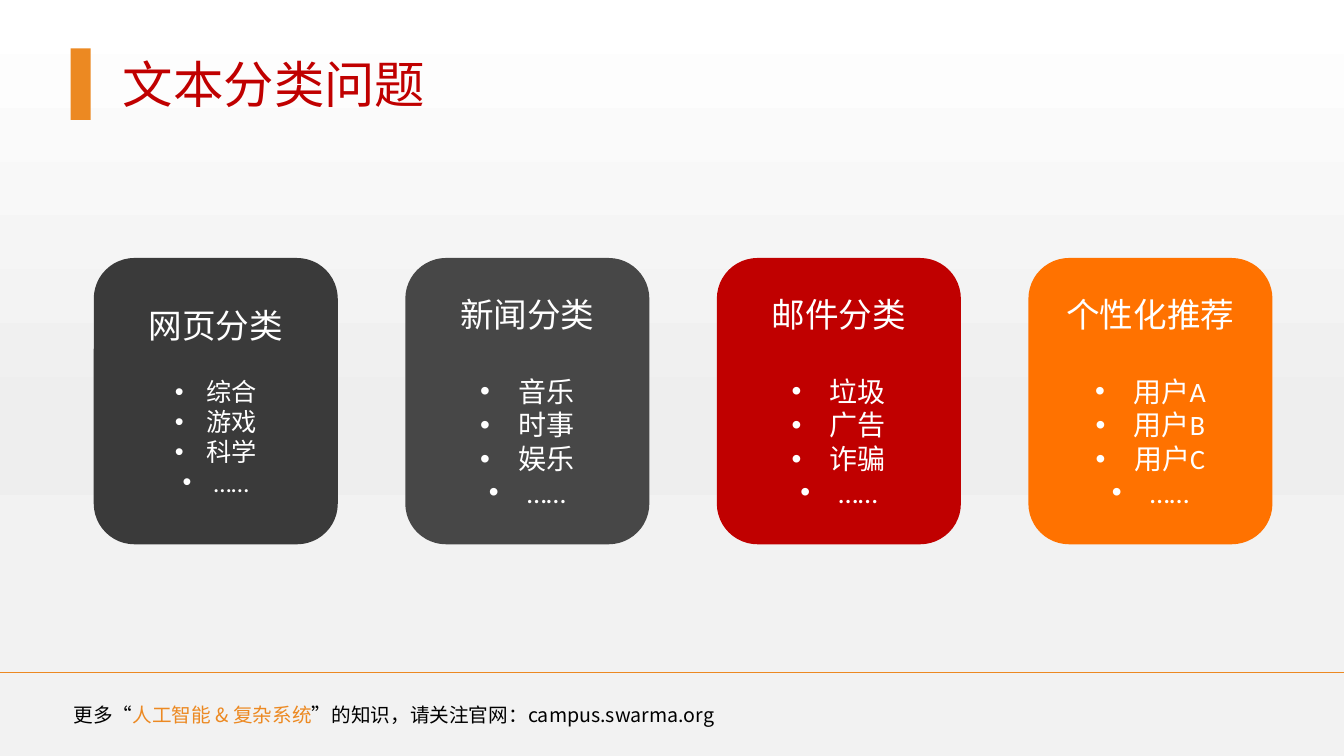
from lxml import etree
from pptx import Presentation, util as u
from pptx.dml.color import RGBColor
from pptx.enum import shapes, text
from pptx.oxml.ns import qn

WHITE = RGBColor(0xFF, 0xFF, 0xFF)
BLACK = RGBColor(0x00, 0x00, 0x00)
ORANGE = RGBColor(0xEC, 0x89, 0x22)
RED = RGBColor(0xC0, 0x00, 0x00)
CHARCOAL = RGBColor(0x3A, 0x3A, 0x3A)
GRAY = RGBColor(0x47, 0x47, 0x47)
BRIGHT_ORANGE = RGBColor(0xFF, 0x72, 0x00)
BACKDROP_STOPS = [(0, "FFFFFF"), (57, "EEEEEE"), (74, "F2F2F2"), (100, "F2F2F2")]

CJK_FONT = "Noto Sans CJK SC"
CARD_FONT = "Calibri"
WIDTH, HEIGHT = 13.33, 7.5
CARD_LEFT, CARD_TOP = 0.93, 2.56
CARD_WIDTH, CARD_HEIGHT = 2.42, 2.84
CARD_PITCH = 3.09
LINE_HEIGHT = 1.22

CARDS = [
    ("网页分类", ["综合", "游戏", "科学", "……"], CHARCOAL, 18, 18, 0.31),
    ("新闻分类", ["音乐", "时事", "娱乐", "……"], GRAY, 20, 24, 0.38),
    ("邮件分类", ["垃圾", "广告", "诈骗", "……"], RED, 20, 24, 0.38),
    ("个性化推荐", ["用户A", "用户B", "用户C", "……"], BRIGHT_ORANGE, 20, 24, 0.38),
]


def inches(*lengths):
    return [u.Inches(length) for length in lengths]


def add_block(slide, kind, box, color=None):
    shape = slide.shapes.add_shape(kind, *inches(*box))
    shape.shadow.inherit = False
    shape.line.fill.background()
    if color is not None:
        shape.fill.solid()
        shape.fill.fore_color.rgb = color
    return shape


def add_backdrop(slide):
    shape = add_block(slide, shapes.MSO_SHAPE.RECTANGLE, (0, 0, WIDTH, HEIGHT))
    shape.fill.gradient()
    shape.fill.gradient_angle = 270
    stops = shape._element.spPr.find(qn("a:gradFill")).find(qn("a:gsLst"))
    for stop in list(stops):
        stops.remove(stop)
    for position, color in BACKDROP_STOPS:
        stop = etree.SubElement(stops, qn("a:gs"), pos=str(position * 1000))
        etree.SubElement(stop, qn("a:srgbClr"), val=color)


def format_font(font, name, size, color):
    font.name = name
    font.size = u.Pt(size)
    font.color.rgb = color


def add_text(slide, box, size, parts):
    frame = slide.shapes.add_textbox(*inches(*box)).text_frame
    frame.word_wrap = True
    for words, color in parts:
        run = frame.paragraphs[0].add_run()
        run.text = words
        format_font(run.font, CJK_FONT, size, color)
        etree.SubElement(run.font._element, qn("a:ea"), typeface=CJK_FONT)


def add_rule(slide, top):
    ends = inches(0, top, WIDTH, top)
    line = slide.shapes.add_connector(shapes.MSO_CONNECTOR.STRAIGHT, *ends)
    line.line.color.rgb = ORANGE
    line.line.width = u.Pt(1)
    etree.SubElement(line._element.spPr, qn("a:effectLst"))


def add_bullet(paragraph, indent):
    properties = paragraph._element.get_or_add_pPr()
    properties.set("marL", str(u.Inches(indent)))
    properties.set("indent", str(-u.Inches(indent)))
    etree.SubElement(properties, qn("a:buFont"), typeface="Arial")
    etree.SubElement(properties, qn("a:buChar"), char="•")


def add_card(slide, column, heading, items, color, size, gap, indent):
    left = CARD_LEFT + column * CARD_PITCH
    box = (left, CARD_TOP, CARD_WIDTH, CARD_HEIGHT)
    card = add_block(slide, shapes.MSO_SHAPE.ROUNDED_RECTANGLE, box, color)
    frame = card.text_frame
    frame.word_wrap = True
    frame.vertical_anchor = text.MSO_ANCHOR.MIDDLE
    frame.text = "\n".join([heading] + items)
    for row, paragraph in enumerate(frame.paragraphs):
        paragraph.alignment = text.PP_ALIGN.CENTER
        if row == 0:
            paragraph.space_after = u.Pt(round(gap * LINE_HEIGHT))
        else:
            add_bullet(paragraph, indent)
        for run in paragraph.runs:
            format_font(run.font, CARD_FONT, size if row else 24, WHITE)


def main():
    presentation = Presentation()
    presentation.slide_width, presentation.slide_height = inches(WIDTH, HEIGHT)
    slide = presentation.slides.add_slide(presentation.slide_layouts[6])
    add_backdrop(slide)
    add_text(slide, (1.12, 0.48, 8.02, 0.71), 36, [("文本分类问题", RED)])
    add_block(slide, shapes.MSO_SHAPE.RECTANGLE, (0.7, 0.48, 0.2, 0.71), ORANGE)
    add_rule(slide, 6.67)
    add_text(slide, (0.63, 6.92, 7.85, 0.34), 14, [
        ("更多“", BLACK),
        ("人工智能 & 复杂系统", ORANGE),
        ("”的知识，请关注官网：campus.swarma.org", BLACK),
    ])
    for column, card in enumerate(CARDS):
        add_card(slide, column, *card)
    presentation.save("out.pptx")


if __name__ == "__main__":
    main()
